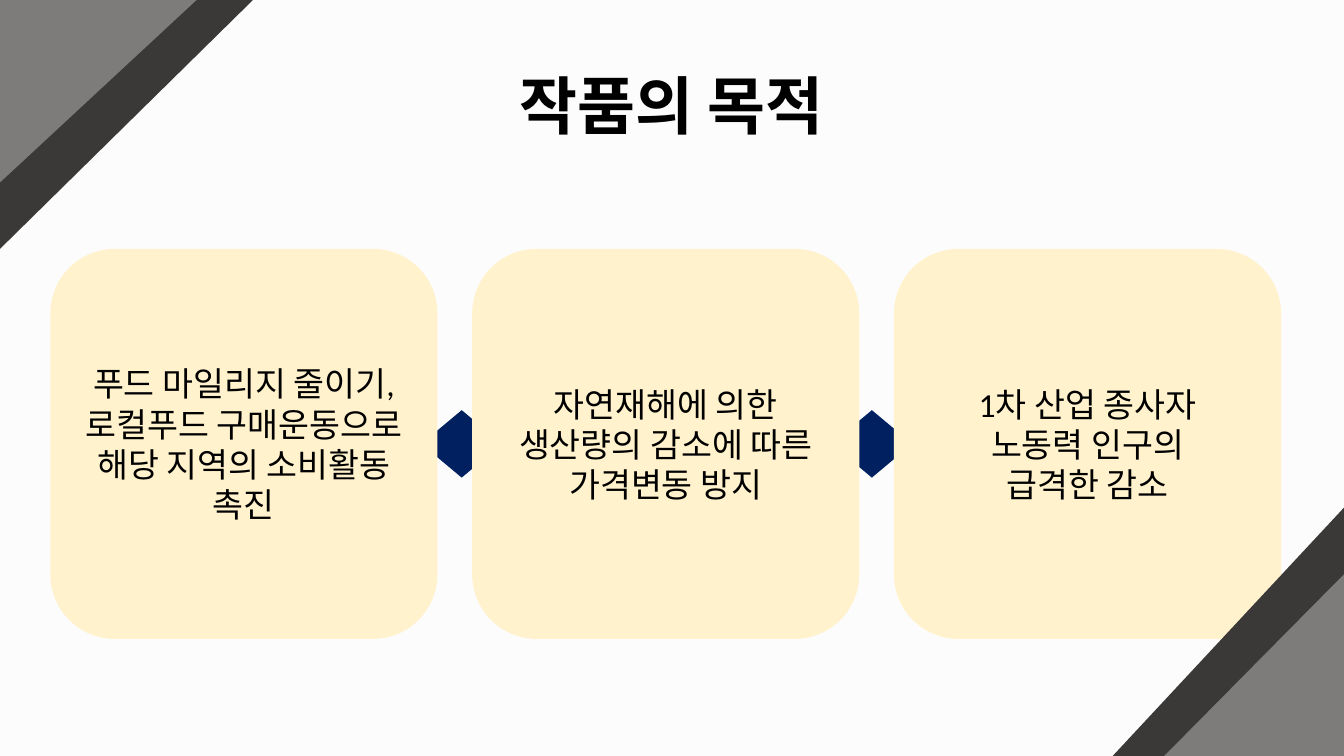
from dataclasses import dataclass

from lxml.etree import SubElement
from pptx import Presentation
from pptx.dml.color import RGBColor
from pptx.enum.shapes import MSO_SHAPE
from pptx.enum.text import MSO_ANCHOR, MSO_AUTO_SIZE, PP_ALIGN
from pptx.oxml.ns import qn
from pptx.util import Pt


@dataclass(frozen=True)
class Theme:
    """Colours, font and type sizes of the slide."""
    background: str = "FCFCFC"
    text: str = "000000"
    card: str = "FFF2CC"
    link: str = "002060"
    corner_dark: str = "3B3838"
    corner_light: str = "D0CECE"
    font: str = "Calibri"
    title_size: int = 45
    body_size: int = 24


THEME = Theme()
CARDS = [
    "푸드 마일리지 줄이기, 로컬푸드 구매운동으로 해당 지역의 소비활동 촉진",
    "자연재해에 의한 생산량의 감소에 따른 가격변동 방지",
    "1차 산업 종사자\n노동력 인구의\n급격한 감소",
]
CARD_LEFT, CARD_TOP, CARD_STEP = 36, 177.8, 301.3
CARD_WIDTH, CARD_HEIGHT = 276.5, 278.6
LINK_LEFT, LINK_TOP, LINK_STEP = 301, 293, 293
LINK_WIDTH, LINK_HEIGHT = 57.6, 48.2
CORNERS = [
    (90, (1.4, -1.4, 177.8, 180.7), (5, -5, 130.3, 140.4)),
    (270, (788.4, 368.6, 177.8, 165.6), (830.9, 410.4, 130.3, 128.9)),
]


def format_runs(tf, size, bold=False):
    """Apply the theme font to every run of a text frame."""
    for p in tf.paragraphs:
        for r in p.runs:
            r.font.name = THEME.font
            r.font.size = Pt(size)
            r.font.bold = bold
            r.font.color.rgb = RGBColor.from_string(THEME.text)


def add_block(s, kind, box, color):
    """Add a flat filled shape without outline or shadow."""
    sp = s.shapes.add_shape(kind, *map(Pt, box))
    sp.shadow.inherit = False
    sp.fill.solid()
    sp.fill.fore_color.rgb = RGBColor.from_string(color)
    sp.line.fill.background()
    return sp


def add_title(s, text):
    """Place and format the title placeholder."""
    title = s.shapes.title
    title.left, title.top, title.width, title.height = map(Pt, (363.6, 18.7, 476.6, 87.1))
    tf = title.text_frame
    tf.text = text
    tf.auto_size = MSO_AUTO_SIZE.NONE
    tf.vertical_anchor = MSO_ANCHOR.BOTTOM
    p = tf.paragraphs[0]
    p.alignment = PP_ALIGN.LEFT
    p.line_spacing = 0.9
    p.space_after = Pt(6)
    format_runs(tf, THEME.title_size, bold=True)


def add_card(s, index, text):
    """Add one rounded card with centred text."""
    box = (CARD_LEFT + index * CARD_STEP, CARD_TOP, CARD_WIDTH, CARD_HEIGHT)
    tf = add_block(s, MSO_SHAPE.ROUNDED_RECTANGLE, box, THEME.card).text_frame
    tf.text = text
    tf.word_wrap = True
    tf.vertical_anchor = MSO_ANCHOR.MIDDLE
    for p in tf.paragraphs:
        p.alignment = PP_ALIGN.CENTER
    format_runs(tf, THEME.body_size)


def add_link(s, index):
    """Add the diamond that joins two neighbouring cards."""
    box = (LINK_LEFT + index * LINK_STEP, LINK_TOP, LINK_WIDTH, LINK_HEIGHT)
    add_block(s, MSO_SHAPE.FLOWCHART_DECISION, box, THEME.link)


def add_corner(s, rotation, outer, inner):
    """Add a dark corner triangle with a translucent one over it."""
    dark = add_block(s, MSO_SHAPE.RIGHT_TRIANGLE, outer, THEME.corner_dark)
    light = add_block(s, MSO_SHAPE.RIGHT_TRIANGLE, inner, THEME.corner_light)
    dark.rotation = light.rotation = rotation
    color = light.fill._xPr.find(qn("a:solidFill")).find(qn("a:srgbClr"))
    SubElement(color, qn("a:alpha"), val="45000")


def main():
    """Build the slide and save it."""
    prs = Presentation()
    prs.slide_width, prs.slide_height = Pt(960), Pt(540)
    s = prs.slides.add_slide(prs.slide_layouts[5])
    s.background.fill.solid()
    s.background.fill.fore_color.rgb = RGBColor.from_string(THEME.background)
    add_title(s, "작품의 목적")
    for i in range(len(CARDS) - 1):
        add_link(s, i)
    for i, text in enumerate(CARDS):
        add_card(s, i, text)
    for corner in CORNERS:
        add_corner(s, *corner)
    prs.save("out.pptx")


if __name__ == "__main__":
    main()
